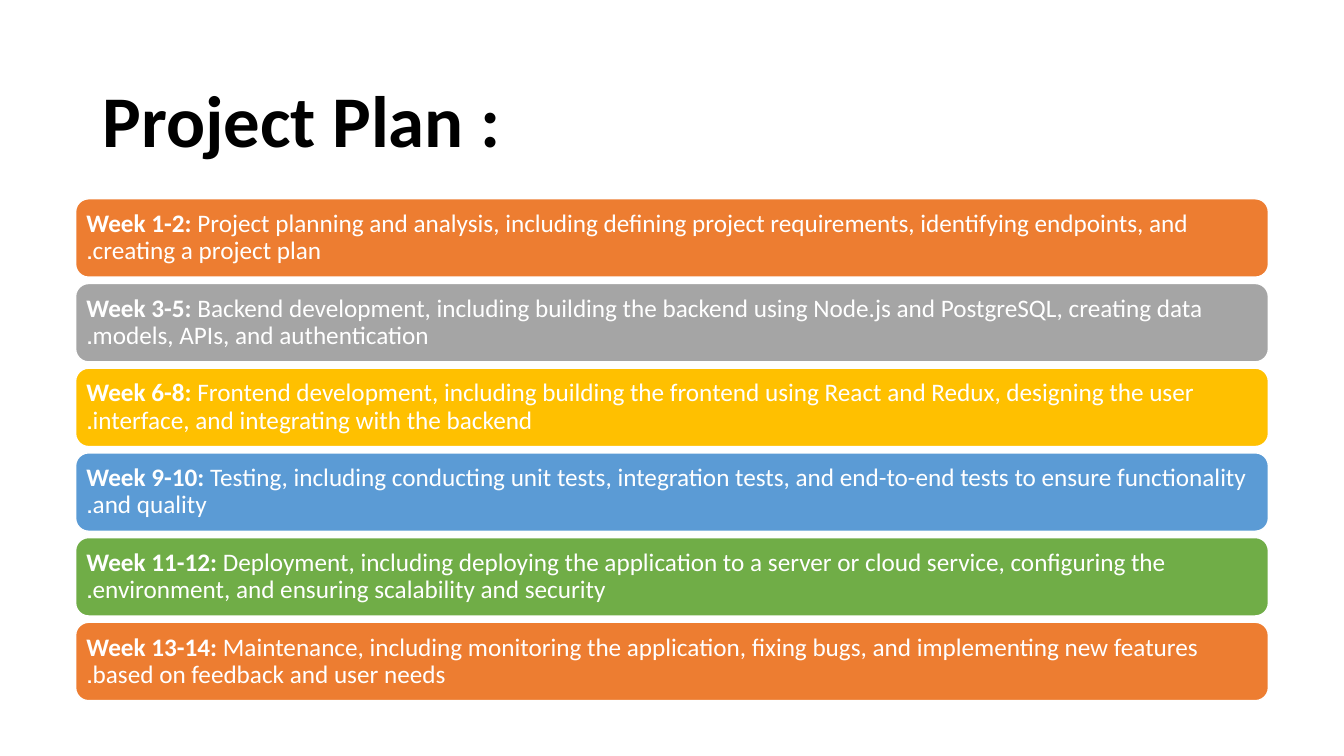
from dataclasses import dataclass

from pptx import Presentation
from pptx import util as u
from pptx.dml.color import RGBColor
from pptx.enum import shapes, text


@dataclass(frozen=True)
class Theme:
    font: str = "Calibri"
    title_size: float = 52
    phase_size: float = 18
    line_spacing: float = 0.9
    black: str = "000000"
    white: str = "FFFFFF"
    orange: str = "ED7D31"
    gray: str = "A5A5A5"
    gold: str = "FFC000"
    blue: str = "5B9BD5"
    green: str = "70AD47"


@dataclass(frozen=True)
class Phase:
    weeks: str
    work: str
    color: str


THEME = Theme()
SLIDE_WIDTH, SLIDE_HEIGHT = 960, 540
BAR_LEFT, BAR_TOP = 54, 142
BAR_WIDTH, BAR_HEIGHT, BAR_PITCH = 852, 56, 60.5
BAR_INSET = 5

PHASES = [
    Phase("1-2", "Project planning and analysis, including defining project requirements, "
          "identifying endpoints, and creating a project plan.", THEME.orange),
    Phase("3-5", "Backend development, including building the backend using Node.js and "
          "PostgreSQL, creating data models, APIs, and authentication.", THEME.gray),
    Phase("6-8", "Frontend development, including building the frontend using React and "
          "Redux, designing the user interface, and integrating with the backend.", THEME.gold),
    Phase("9-10", "Testing, including conducting unit tests, integration tests, and "
          "end-to-end tests to ensure functionality and quality.", THEME.blue),
    Phase("11-12", "Deployment, including deploying the application to a server or cloud "
          "service, configuring the environment, and ensuring scalability and security.",
          THEME.green),
    Phase("13-14", "Maintenance, including monitoring the application, fixing bugs, and "
          "implementing new features based on feedback and user needs.", THEME.orange),
]


def add_run(paragraph, words: str, size: float, color: str, bold: bool) -> None:
    run = paragraph.add_run()
    run.text = words
    run.font.name = THEME.font
    run.font.size = u.Pt(size)
    run.font.bold = bold
    run.font.color.rgb = RGBColor.from_string(color)


def left_paragraph(frame):
    frame.word_wrap = True
    frame.auto_size = text.MSO_AUTO_SIZE.NONE
    frame.vertical_anchor = text.MSO_ANCHOR.MIDDLE
    paragraph = frame.paragraphs[0]
    paragraph.alignment = text.PP_ALIGN.LEFT
    paragraph.line_spacing = THEME.line_spacing
    return paragraph


def set_title(slide, words: str) -> None:
    heading = slide.shapes.title
    heading.left, heading.top = u.Pt(66), u.Pt(44)
    heading.width, heading.height = u.Pt(828), u.Pt(89)
    add_run(left_paragraph(heading.text_frame), words, THEME.title_size, THEME.black, True)


def add_phase(slide, phase: Phase, top: float) -> None:
    bar = slide.shapes.add_shape(
        shapes.MSO_SHAPE.ROUNDED_RECTANGLE,
        u.Pt(BAR_LEFT), u.Pt(top), u.Pt(BAR_WIDTH), u.Pt(BAR_HEIGHT),
    )
    bar.shadow.inherit = False
    bar.fill.solid()
    bar.fill.fore_color.rgb = RGBColor.from_string(phase.color)
    bar.line.color.rgb = RGBColor.from_string(THEME.white)
    bar.line.width = u.Pt(1)
    frame = bar.text_frame
    frame.margin_left = frame.margin_right = u.Pt(BAR_INSET)
    frame.margin_top = frame.margin_bottom = u.Pt(BAR_INSET)
    paragraph = left_paragraph(frame)
    paragraph._p.get_or_add_pPr().set("rtl", "1")
    add_run(paragraph, f"Week {phase.weeks}: ", THEME.phase_size, THEME.white, True)
    add_run(paragraph, phase.work, THEME.phase_size, THEME.white, False)


def main() -> None:
    deck = Presentation()
    deck.slide_width, deck.slide_height = u.Pt(SLIDE_WIDTH), u.Pt(SLIDE_HEIGHT)
    slide = deck.slides.add_slide(deck.slide_layouts.get_by_name("Title Only"))
    set_title(slide, "Project Plan :")
    for index, phase in enumerate(PHASES):
        add_phase(slide, phase, BAR_TOP + index * BAR_PITCH)
    deck.save("out.pptx")


if __name__ == "__main__":
    main()
